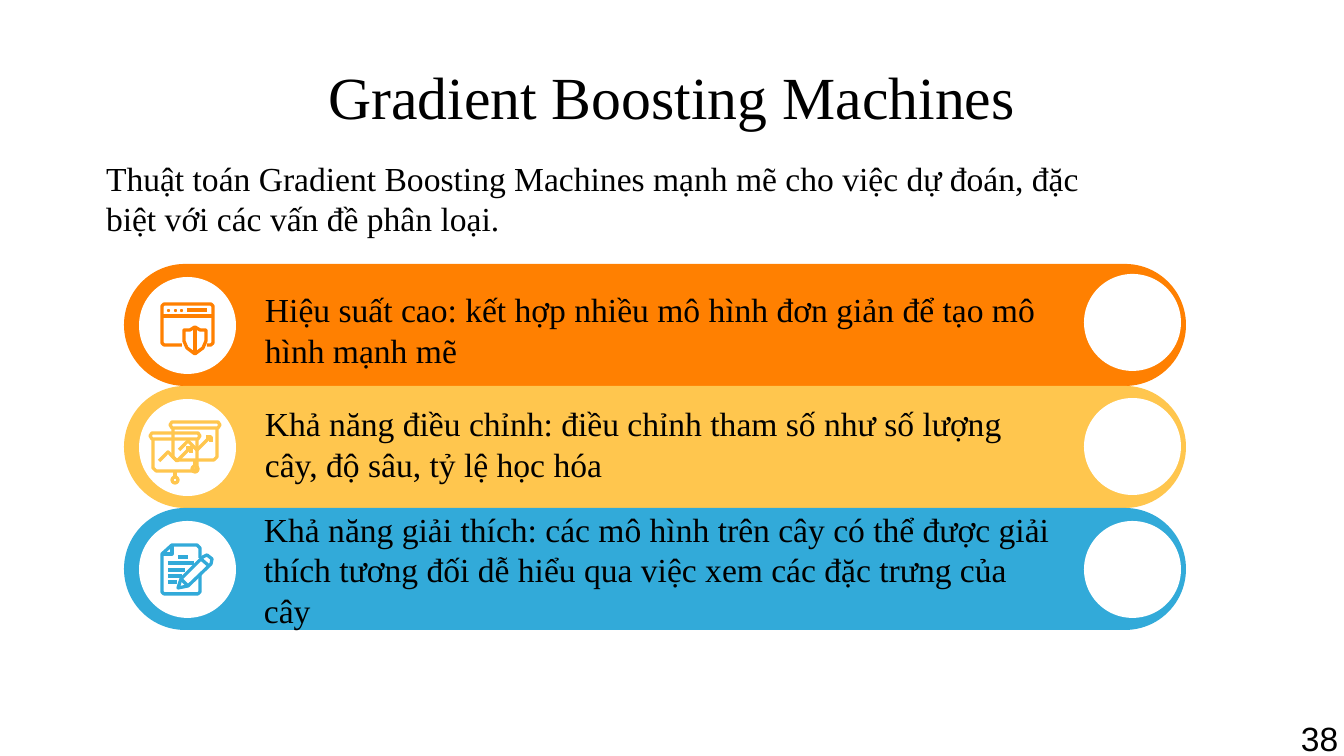
import pptx
import pptx.util
import pptx.dml.color
import pptx.enum.shapes
import pptx.enum.text

SCALE = 914400 / 134.4
HUES = {"ink": "000000", "white": "FFFFFF", "orange": "FF8001",
        "yellow": "FFC64E", "blue": "32AAD9"}
KINDS = pptx.enum.shapes.MSO_SHAPE
ANCHORS = pptx.enum.text.MSO_ANCHOR
ALIGNS = pptx.enum.text.PP_ALIGN


def px(*sizes):
    return [pptx.util.Emu(round(size * SCALE)) for size in sizes]


def rgb(name):
    return pptx.dml.color.RGBColor.from_string(HUES[name])


def write(frame, text, font="Times New Roman", size=18, hue="ink",
          align=ALIGNS.LEFT, anchor=ANCHORS.TOP, wrap=True, pad=(13, 7)):
    frame.word_wrap = wrap
    frame.vertical_anchor = anchor
    side, edge = px(*pad)
    frame.margin_left = frame.margin_right = side
    frame.margin_top = frame.margin_bottom = edge
    line = frame.paragraphs[0]
    line.alignment = align
    run = line.add_run()
    run.text = text
    run.font.name = font
    run.font.size = pptx.util.Pt(size)
    run.font.color.rgb = rgb(hue)


class Deck:
    """Holds the style and the current slide."""

    def __init__(self, width, height):
        self.file = pptx.Presentation()
        self.file.slide_width, self.file.slide_height = px(width, height)
        self.slide = self.file.slides.add_slide(self.file.slide_layouts[6])
        self.shapes = self.slide.shapes
        self.stroke = pptx.util.Pt(1.75)

    def text(self, box, words, **style):
        write(self.shapes.add_textbox(*px(*box)).text_frame, words, **style)

    def solid(self, kind, box, hue):
        shape = self.shapes.add_shape(kind, *px(*box))
        shape.shadow.inherit = False
        shape.fill.solid()
        shape.fill.fore_color.rgb = rgb(hue)
        shape.line.fill.background()
        return shape

    def pill(self, box, hue):
        self.solid(KINDS.ROUNDED_RECTANGLE, box, hue).adjustments[0] = 0.5

    def disc(self, left, top, size, hue):
        self.solid(KINDS.OVAL, (left, top, size, size), hue)

    def ring(self, left, top, size, hue):
        shape = self.shapes.add_shape(KINDS.OVAL, *px(left, top, size, size))
        self.trace(shape, hue)

    def trace(self, shape, hue):
        shape.shadow.inherit = False
        shape.fill.background()
        shape.line.color.rgb = rgb(hue)
        shape.line.width = self.stroke

    def draw(self, hue, *paths, shift=(0, 0)):
        moved = [[(x + shift[0], y + shift[1]) for x, y in path]
                 for path in paths]
        pen = self.shapes.build_freeform(*moved[0][0], scale=SCALE)
        for index, path in enumerate(moved):
            if index:
                pen.move_to(*path[0])
            pen.add_line_segments(path[1:], close=False)
        self.trace(pen.convert_to_shape(), hue)


def shield(deck, hue):
    deck.draw(
        hue,
        [(182, 345), (164, 345), (162, 343), (162, 306), (164, 304),
         (211, 304), (213, 306), (213, 343), (211, 345), (207, 345)],
        [(162, 316), (213, 316)], [(187, 310), (207, 310)],
        [(195, 327), (190, 330), (184, 330), (184, 341), (187, 348),
         (195, 354), (203, 348), (206, 341), (206, 330), (200, 330),
         (195, 327)],
        [(195, 327), (195, 354)])
    for left in (167, 174, 180):
        deck.disc(left, 309, 3, hue)


def board(deck, hue, shift):
    deck.draw(
        hue,
        [(172, 422), (218, 422), (220, 425), (218, 428), (172, 428),
         (170, 425), (172, 422)],
        [(173, 428), (173, 457), (176, 460), (214, 460), (217, 457),
         (217, 428)],
        [(195, 460), (195, 466)], shift=shift)
    deck.draw(hue, [(179, 450), (188, 441), (197, 450), (210, 437)],
              [(206, 437), (211, 437), (211, 442)], shift=shift)
    deck.ring(192 + shift[0], 466 + shift[1], 6, hue)


def boards(deck, hue):
    for shift in ((0, 0), (-20, 11)):
        board(deck, hue, shift)


def paper(deck, hue):
    lines = [[(left, y), (right, y)] for left, right, y in (
        (178, 188, 557), (168, 194, 563), (168, 185, 570),
        (168, 182, 576), (168, 177, 582))]
    deck.draw(
        hue,
        [(200, 574), (200, 592), (198, 594), (164, 594), (162, 592),
         (162, 554), (172, 545), (197, 545), (200, 548), (200, 558)],
        [(172, 545), (172, 554), (162, 554)], *lines)
    deck.draw(
        hue,
        [(178, 588), (181, 579), (203, 557), (207, 555), (212, 559),
         (211, 564), (188, 586), (178, 588)],
        [(181, 579), (188, 586)], [(201, 559), (209, 566)])


def main():
    deck = Deck(1344, 756)
    deck.text((67, 60, 1210, 71), "Gradient Boosting Machines", size=32,
              align=ALIGNS.CENTER, anchor=ANCHORS.MIDDLE, pad=(13, 13))
    deck.text((93, 151, 1056, 95),
              "Thuật toán Gradient Boosting Machines mạnh mẽ cho việc dự "
              "đoán, đặc biệt với các vấn đề phân loại.")
    deck.text((1288, 711, 65, 54), "38", font="Arial", wrap=False)
    rows = (
        ("orange", shield, 274, (265, 284),
         "Hiệu suất cao: kết hợp nhiều mô hình đơn giản để tạo mô hình "
         "mạnh mẽ"),
        ("yellow", boards, 398, (265, 398),
         "Khả năng điều chỉnh: điều chỉnh tham số như số lượng cây, độ "
         "sâu, tỷ lệ học hóa"),
        ("blue", paper, 521, (264, 524),
         "Khả năng giải thích: các mô hình trên cây có thể được giải "
         "thích tương đối dễ hiểu qua việc xem các đặc trưng của cây"))
    for index, (hue, icon, top, spot, words) in enumerate(rows):
        drop = 122 * index
        deck.pill((124, 264 + drop, 1062, 122), hue)
        deck.disc(1084, top, 97, "white")
        deck.disc(139, 277 + drop, 97, "white")
        icon(deck, hue)
        deck.text((*spot, 797, 91), words, anchor=ANCHORS.MIDDLE, pad=(0, 13))
    deck.file.save("out.pptx")


if __name__ == "__main__":
    main()
